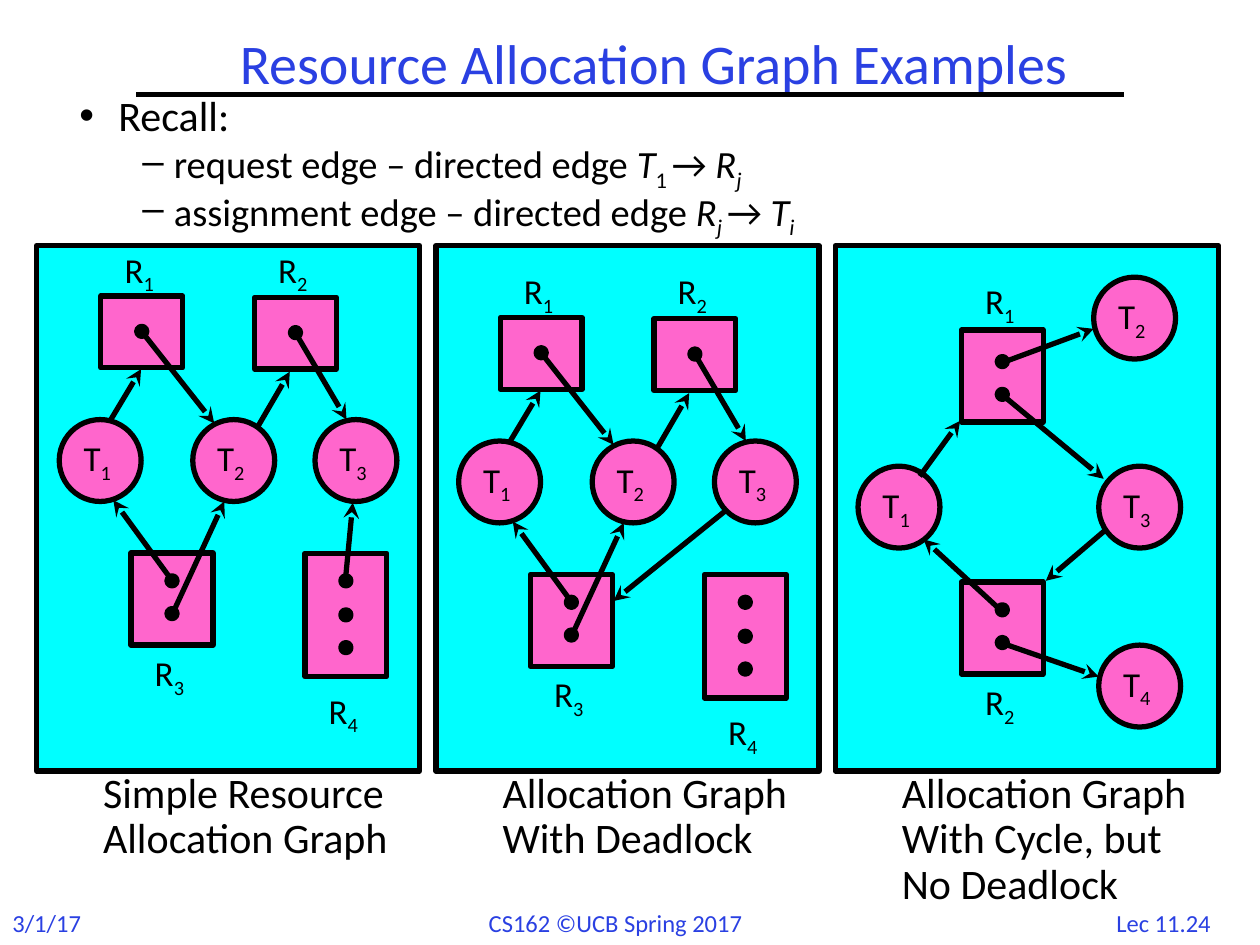
from lxml import etree
from pptx import Presentation
from pptx.dml.color import RGBColor
from pptx.enum.shapes import MSO_CONNECTOR, MSO_SHAPE
from pptx.enum.text import MSO_ANCHOR, MSO_AUTO_SIZE, PP_ALIGN
from pptx.oxml.ns import qn
from pptx.util import Inches, Pt

RECTANGLE, OVAL = MSO_SHAPE.RECTANGLE, MSO_SHAPE.OVAL
STRAIGHT = MSO_CONNECTOR.STRAIGHT
LEFT, CENTER = PP_ALIGN.LEFT, PP_ALIGN.CENTER
MIDDLE = MSO_ANCHOR.MIDDLE
NO_FIT = MSO_AUTO_SIZE.NONE

BLACK = RGBColor(0x00, 0x00, 0x00)
BLUE = RGBColor(0x2A, 0x40, 0xE2)
CYAN = RGBColor(0x00, 0xFF, 0xFF)
PINK = RGBColor(0xFF, 0x66, 0xCC)

FONT = "Calibri"
ITALIC = {"italic": True}
SUB = {"sub": True}
ITALIC_SUB = {"italic": True, "sub": True}

TITLE = "Resource Allocation Graph Examples"
# Each paragraph: size, left margin, hanging indent, level, runs
RECALL = [
    (24, 0.31, 0.31, 0, [("Recall:", {})]),
    (22, 0.75, 0.25, 1, [("request edge – directed edge ", {}), ("T", ITALIC), ("1 ", SUB),
                         ("→ ", {}), ("R", ITALIC), ("j", ITALIC_SUB)]),
    (22, 0.75, 0.25, 1, [("assignment edge – directed edge ", {}), ("R", ITALIC),
                         ("j ", ITALIC_SUB), ("→ ", {}), ("T", ITALIC), ("i", ITALIC_SUB)]),
]
FOOTERS = [
    ("3/1/17", 0, 0.9, LEFT),
    ("CS162 ©UCB Spring 2017", 3.78, 2.31, LEFT),
    ("Lec 11.24", 8.72, 1.03, CENTER),
]

# Positions below are measured from the top left corner of a panel.
# Thread: number, left, top.
# Resource: number, left, top, height, dot centres below its top, label offset from its top.
# Edge: start x, start y, end x, end y.
THREADS = [(1, 0.18, 1.38), (2, 1.24, 1.38), (3, 2.21, 1.38)]
RESOURCES = [
    (1, 0.51, 0.40, 0.57, [0.28], -0.43),
    (2, 1.73, 0.41, 0.57, [0.28], -0.44),
    (3, 0.75, 2.44, 0.73, [0.22, 0.48], 0.73),
    (4, 2.13, 2.44, 0.98, [0.22, 0.49, 0.75], 1.03),
]
SHARED_EDGES = [
    (0.59, 1.38, 0.83, 0.98),
    (0.85, 0.70, 1.41, 1.41),
    (1.76, 1.43, 2.01, 1.00),
    (2.06, 0.70, 2.46, 1.38),
    (1.07, 2.65, 0.61, 2.02),
    (1.08, 2.92, 1.49, 2.03),
]
GRAPHS = [
    {"caption": "Simple Resource\nAllocation Graph", "caption_height": 0.91, "drop": 0,
     "threads": THREADS, "resources": RESOURCES,
     "edges": SHARED_EDGES + [(2.45, 2.67, 2.51, 2.04)]},
    {"caption": "Allocation Graph\vWith Deadlock", "caption_height": 0.91, "drop": 0.17,
     "threads": THREADS, "resources": RESOURCES,
     "edges": SHARED_EDGES + [(2.29, 1.94, 1.41, 2.65)]},
    {"caption": "Allocation Graph\vWith Cycle, but\nNo Deadlock", "caption_height": 1.2, "drop": 0,
     "threads": [(1, 0.18, 1.75), (2, 2.05, 0.25), (3, 2.09, 1.75), (4, 2.09, 3.17)],
     "resources": [(1, 1.0, 0.67, 0.73, [0.25, 0.51], -0.45),
                   (2, 1.0, 2.67, 0.73, [0.22, 0.48], 0.73)],
     "edges": [(0.67, 1.83, 0.99, 1.39), (1.32, 2.90, 0.70, 2.33),
               (1.31, 3.15, 2.09, 3.42), (2.14, 2.26, 1.67, 2.66),
               (1.32, 1.18, 2.13, 1.85), (1.32, 0.93, 2.05, 0.66)]},
]
PANEL_LEFT, PANEL_TOP, PANEL_PITCH = 0.29, 1.95, 3.17
PANEL_WIDTH, PANEL_HEIGHT = 3.04, 4.17
NODE, DOT = 0.65, 0.08


def format_run(run, size, color=BLACK, italic=False, sub=False):
    for attribute, value in {"name": FONT, "size": Pt(size), "italic": italic}.items():
        setattr(run.font, attribute, value)
    run.font.color.rgb = color
    if sub:
        run._r.get_or_add_rPr().set("baseline", "-25000")


def add_runs(paragraph, runs, size, color=BLACK):
    for text, style in runs:
        run = paragraph.add_run()
        run.text = text
        format_run(run, size, color, **style)


def add_text(shapes, text, box, size, color=BLACK, align=LEFT, line_spacing=1.0):
    textbox = shapes.add_textbox(*map(Inches, box))
    textbox.text_frame.word_wrap = False
    textbox.text_frame.text = text
    for paragraph in textbox.text_frame.paragraphs:
        paragraph.alignment = align
        paragraph.line_spacing = line_spacing
        for run in paragraph.runs:
            format_run(run, size, color)


def add_numbered(frame, letter, number):
    """Write a letter with its number as a subscript."""
    frame.word_wrap = False
    frame.paragraphs[0].alignment = LEFT
    add_runs(frame.paragraphs[0], [(letter, {}), (str(number), SUB)], 20)


def add_outlined(shapes, kind, box, fill):
    shape = shapes.add_shape(kind, *map(Inches, box))
    shape.shadow.inherit = False
    shape.fill.solid()
    shape.fill.fore_color.rgb = fill
    shape.line.color.rgb = BLACK
    shape.line.width = Pt(3)
    return shape


def add_line(shapes, ends, arrow=False):
    line = shapes.add_connector(STRAIGHT, *map(Inches, ends))
    line.line.color.rgb = BLACK
    line.line.width = Pt(3)
    if arrow:
        etree.SubElement(line.line._get_or_add_ln(), qn("a:tailEnd"), type="stealth")
    etree.SubElement(line._element.spPr, qn("a:effectLst"))


def add_graph(slide, graph, left):
    shapes = slide.shapes.add_group_shape().shapes
    top = PANEL_TOP + graph["drop"]
    add_outlined(shapes, RECTANGLE, (left, PANEL_TOP, PANEL_WIDTH, PANEL_HEIGHT), CYAN)
    for number, x, y in graph["threads"]:
        thread = add_outlined(shapes, OVAL, (left + x, top + y, NODE, NODE), PINK)
        thread.text_frame.vertical_anchor = MIDDLE
        add_numbered(thread.text_frame, "T", number)
    for number, x, y, height, dots, label_offset in graph["resources"]:
        x, y = left + x, top + y
        add_outlined(shapes, RECTANGLE, (x, y, NODE, height), PINK)
        for dot in dots:
            add_outlined(shapes, OVAL, (x + (NODE - DOT) / 2, y + dot - DOT / 2, DOT, DOT), BLACK)
        label = shapes.add_textbox(*map(Inches, (x + 0.09, y + label_offset, 0.46, 0.44)))
        add_numbered(label.text_frame, "R", number)
    for x1, y1, x2, y2 in graph["edges"]:
        add_line(shapes, (left + x1, top + y1, left + x2, top + y2), arrow=True)
    caption_box = (left + 0.43, 6.08, 2.54, graph["caption_height"])
    add_text(shapes, graph["caption"], caption_box, 24, line_spacing=0.9)


def place(placeholder, box):
    for side, length in zip(("left", "top", "width", "height"), box):
        setattr(placeholder, side, Inches(length))
    placeholder.text_frame.auto_size = NO_FIT
    return placeholder.text_frame


def main():
    presentation = Presentation()
    presentation.slide_width, presentation.slide_height = Inches(10), Inches(7.5)
    slide = presentation.slides.add_slide(presentation.slide_layouts[1])

    for text, left, width, align in FOOTERS:
        add_text(slide.shapes, text, (left, 7.16, width, 0.34), 14, BLUE, align)
    add_line(slide.shapes, (1.08, 0.75, 8.92, 0.75))

    title = place(slide.shapes.title, (0.67, 0.25, 9.04, 0.56))
    title.vertical_anchor = MIDDLE
    title.paragraphs[0].alignment = CENTER
    title.paragraphs[0].line_spacing = 0.9
    add_runs(title.paragraphs[0], [(TITLE, {})], 32, BLUE)

    for index, graph in enumerate(GRAPHS):
        add_graph(slide, graph, PANEL_LEFT + index * PANEL_PITCH)

    body = slide.placeholders[1]
    recall = place(body, (0.53, 0.74, 8.75, 1.42))
    for index, (size, margin, hanging, level, runs) in enumerate(RECALL):
        paragraph = recall.add_paragraph() if index else recall.paragraphs[0]
        paragraph.level = level
        paragraph.line_spacing = 0.8
        paragraph.space_before = Pt(3 if index else 0)
        properties = paragraph._p.get_or_add_pPr()
        properties.set("marL", str(Inches(margin)))
        properties.set("indent", str(-Inches(hanging)))
        add_runs(paragraph, runs, size)
    # The list overlaps the panels and lies in front of them.
    slide.shapes._spTree.append(body._element)

    presentation.save("out.pptx")


if __name__ == "__main__":
    main()
